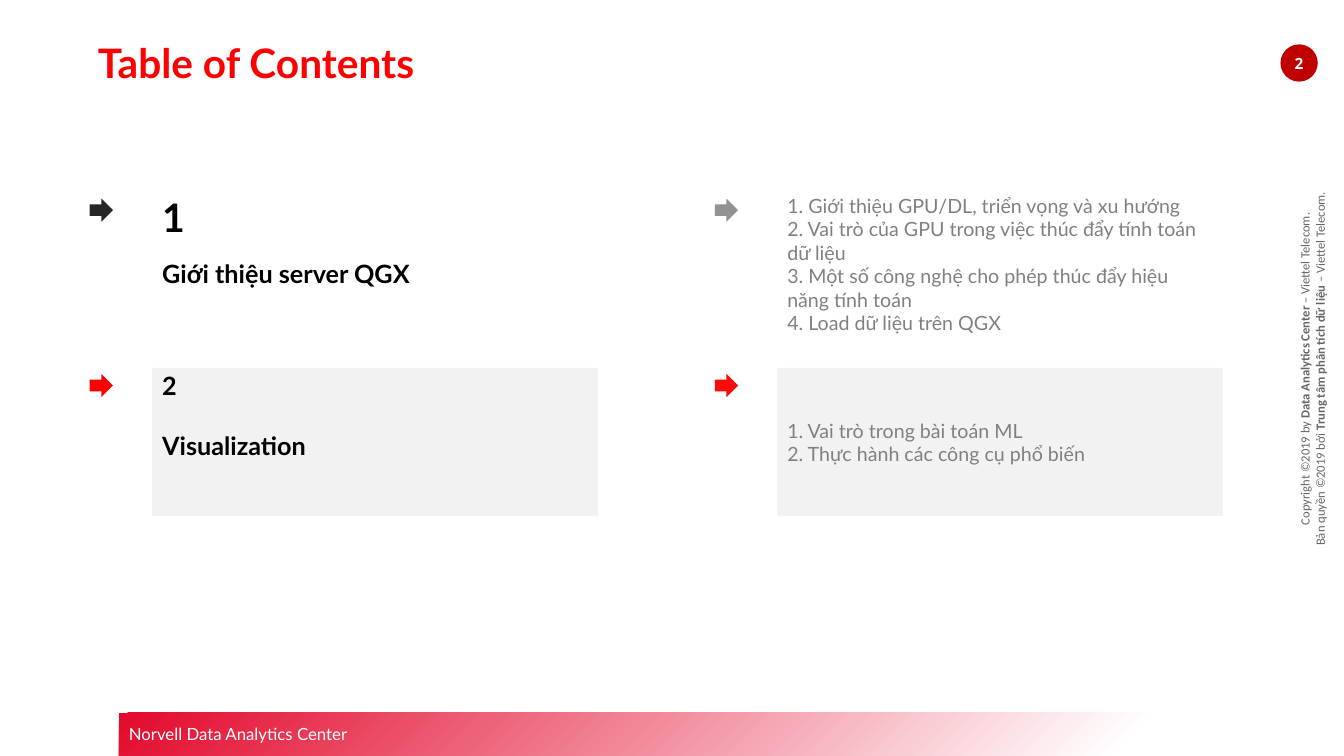
from dataclasses import dataclass

from lxml import etree
from pptx import Presentation
from pptx.dml.color import RGBColor
from pptx.enum.shapes import MSO_SHAPE as Preset
from pptx.enum.text import MSO_ANCHOR as Anchor, MSO_AUTO_SIZE as AutoSize, PP_ALIGN as Align
from pptx.oxml import parse_xml
from pptx.util import Inches, Pt

TITLE = "Table of Contents"
PAGE_NUMBER = "2"
FOOTER = "Norvell Data Analytics Center"
COPYRIGHT = [
    [("Copyright ©2019 by ", False), ("Data Analytics Center", True), (" – Viettel Telecom.", False)],
    [("Bản quyền ©2019 bởi ", False), ("Trung tâm phân tích dữ liệu ", True),
     ("– Viettel Telecom.", False)],
]
SECTIONS = [
    {"number": "1", "number_size": 28, "gap": 12.6, "heading": "Giới thiệu server QGX",
     "topics": ["1. Giới thiệu GPU/DL, triển vọng và xu hướng",
                "2. Vai trò của GPU trong việc thúc đẩy tính toán dữ liệu",
                "3. Một số công nghệ cho phép thúc đẩy hiệu năng tính toán",
                "4. Load dữ liệu trên QGX"],
     "top": 1.87, "height": 1.51, "arrow_top": 1.97, "arrows": ("262626", "929292"),
     "panel": None, "inset": 0.05, "anchor": Anchor.TOP},
    {"number": "2", "number_size": 18, "gap": 21.6, "heading": "Visualization",
     "topics": ["1. Vai trò trong bài toán ML", "2. Thực hành các công cụ phổ biến"],
     "top": 3.65, "height": 1.47, "arrow_top": 3.71, "arrows": ("FF0000", "FF0909"),
     "panel": "F2F2F2", "inset": 0.02, "anchor": Anchor.MIDDLE},
]


@dataclass(frozen=True)
class Theme:
    """Colours, fonts and type sizes of the slide."""
    red: str = "FF0000"
    badge: str = "C00000"
    banner: str = "E3092C"
    white: str = "FFFFFF"
    black: str = "000000"
    grey: str = "808080"
    copyright: str = "666666"
    font: str = "Lato"
    number_font: str = "Open Sans"
    copyright_font: str = "Calibri"
    title_size: int = 29
    heading_size: int = 18
    topic_size: int = 14
    footer_size: int = 12
    page_size: int = 11
    copyright_size: int = 9


THEME = Theme()
COLUMN_LEFT, COLUMN_STEP, COLUMN_WIDTH = 1.51, 6.2, 4.42
ARROW_OFFSET, ARROW_SIZE = 0.62, 0.23


def apply(target, values):
    """Set each named attribute on the target."""
    for name, value in values.items():
        setattr(target, name, value)


def add_box(slide, place, preset=None, fill=None):
    """Add a filled preset shape, or a text box when no preset is given."""
    lengths = [Inches(value) for value in place]
    if preset is None:
        return slide.shapes.add_textbox(*lengths)
    shape = slide.shapes.add_shape(preset, *lengths)
    shape.shadow.inherit = False
    shape.line.fill.background()
    if fill:
        shape.fill.solid()
        shape.fill.fore_color.rgb = RGBColor.from_string(fill)
    return shape


def write(shape, paragraphs, size, color, font=THEME.font, align=Align.LEFT,
          anchor=Anchor.TOP, **frame_values):
    """Write paragraphs of (text, bold) runs in one style."""
    frame = shape.text_frame
    apply(frame, {"word_wrap": True, "auto_size": AutoSize.NONE, "vertical_anchor": anchor,
                  **frame_values})
    for index, runs in enumerate(paragraphs):
        paragraph = frame.add_paragraph() if index else frame.paragraphs[0]
        paragraph.alignment = align
        for text, bold in runs:
            run = paragraph.add_run()
            run.text = text
            apply(run.font, {"name": font, "size": Pt(size), "bold": bold})
            run.font.color.rgb = RGBColor.from_string(color)
    return frame.paragraphs


def add_banner(slide):
    """Add the footer band that fades from red to white."""
    banner = add_box(slide, (1.18, 7.07, 12.15, 0.43), Preset.RECTANGLE)
    gradient = etree.Element("gradFill")
    stops = "".join(f'<a:gs pos="{position}"><a:srgbClr val="{color}"/></a:gs>' for position, color in
                    [(0, THEME.white), (18000, THEME.white), (100000, THEME.banner)])
    gradient = parse_xml(
        '<a:gradFill xmlns:a="http://schemas.openxmlformats.org/drawingml/2006/main" rotWithShape="1">'
        f'<a:gsLst>{stops}</a:gsLst><a:path path="circle">'
        '<a:fillToRect l="100000" t="100000"/></a:path></a:gradFill>')
    banner.element.spPr.find("{*}prstGeom").addnext(gradient)
    write(banner, [[(FOOTER, False)]], THEME.footer_size, THEME.white, anchor=Anchor.MIDDLE)


def add_section(slide, section):
    """Add one row: a numbered heading and its topics, each with an arrow."""
    boxes = []
    for column, arrow_color in enumerate(section["arrows"]):
        left = COLUMN_LEFT + column * COLUMN_STEP
        preset = Preset.RECTANGLE if section["panel"] else None
        place = (left, section["top"], COLUMN_WIDTH, section["height"])
        boxes.append(add_box(slide, place, preset, section["panel"]))
        add_box(slide, (left - ARROW_OFFSET, section["arrow_top"], ARROW_SIZE, ARROW_SIZE),
                Preset.RIGHT_ARROW, arrow_color)
    heading, topics = boxes
    number, label = write(heading, [[(section["number"], True)], [(section["heading"], True)]],
                          THEME.heading_size, THEME.black, margin_top=Inches(section["inset"]))
    number.runs[0].font.size = Pt(section["number_size"])
    label.space_before = Pt(section["gap"])
    write(topics, [[(topic, False)] for topic in section["topics"]],
          THEME.topic_size, THEME.grey, anchor=section["anchor"])


def main():
    """Build the contents slide and save it."""
    presentation = Presentation()
    apply(presentation, {"slide_width": Inches(13.33), "slide_height": Inches(7.5)})
    slide = presentation.slides.add_slide(presentation.slide_layouts[5])

    title = slide.shapes.title
    apply(title, {"left": Inches(0.87), "top": Inches(0.35),
                  "width": Inches(5.31), "height": Inches(0.41)})
    write(title, [[(TITLE, True)]], THEME.title_size, THEME.red)[0].line_spacing = Pt(33)

    notice = add_box(slide, (10.71, 3.46, 4.61, 0.4))
    notice.rotation = 270
    write(notice, COPYRIGHT, THEME.copyright_size, THEME.copyright,
          THEME.copyright_font, Align.CENTER)

    badge = add_box(slide, (12.7, 0.44, 0.37, 0.37), Preset.OVAL, THEME.badge)
    write(badge, [[(PAGE_NUMBER, True)]], THEME.page_size, THEME.white, THEME.number_font,
          Align.CENTER, Anchor.MIDDLE, margin_left=0, margin_right=0, margin_top=0, margin_bottom=0)

    add_banner(slide)
    for section in SECTIONS:
        add_section(slide, section)
    presentation.save("out.pptx")


if __name__ == "__main__":
    main()
